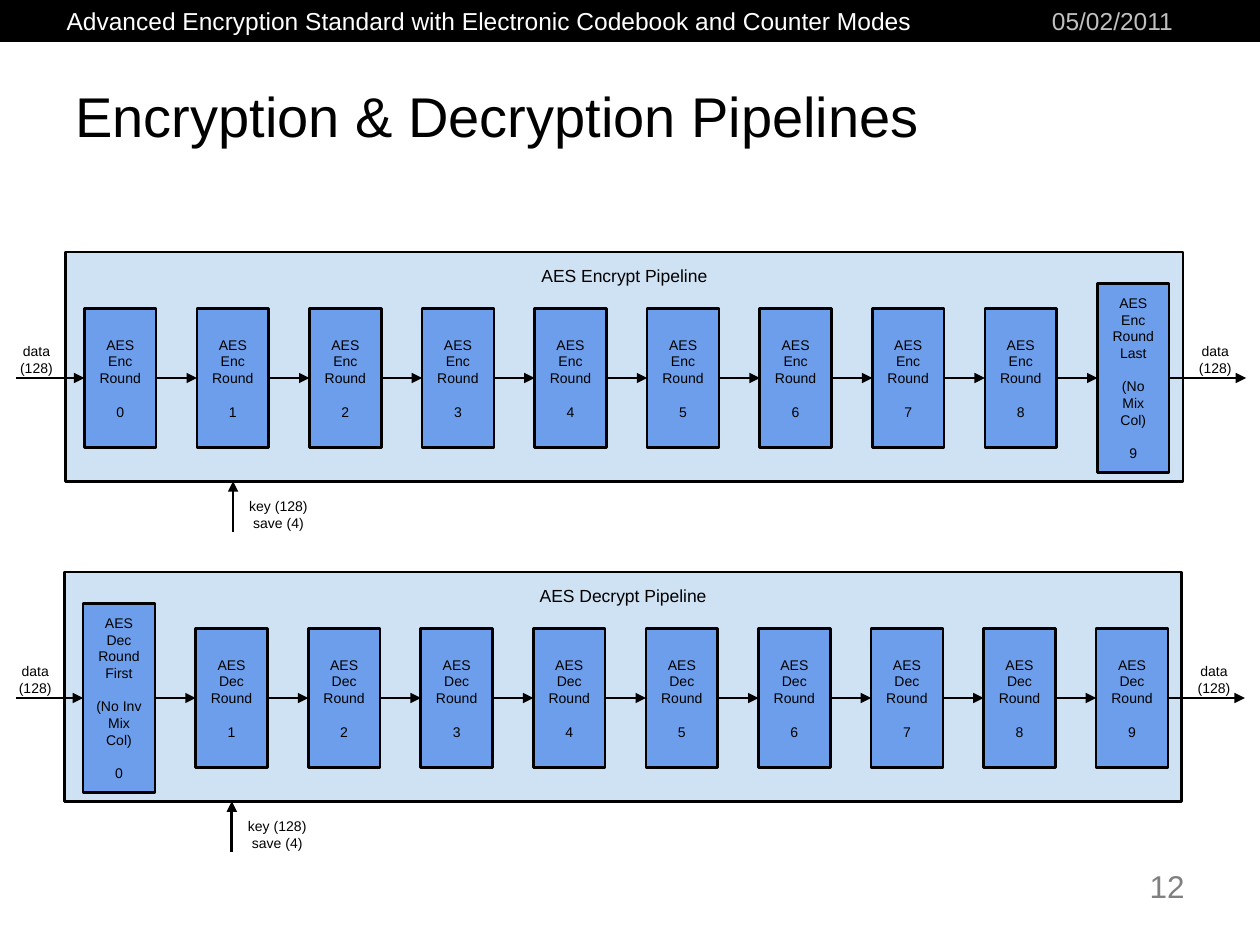
from pptx import Presentation
from pptx.dml.color import RGBColor
from pptx.enum.shapes import MSO_CONNECTOR as Connector, MSO_SHAPE as Shape
from pptx.enum.text import MSO_ANCHOR as Anchor, PP_ALIGN as Align
from pptx.oxml.ns import qn
from pptx.util import Inches, Pt
from lxml.etree import SubElement

BLACK, WHITE, PANEL, ROUND = "000000", "FFFFFF", "CFE2F3", "6D9EEB"
SILVER, GRAY = "C0C0C0", "808080"
TOP, LEFT, BOTTOM, RIGHT = range(4)
ROUND_WIDTH, ROUND_HEIGHT, TALL_HEIGHT = 0.57, 1.1, 1.5
ROUND_COUNT = 10
ROUND_PITCH = 8.04 / (ROUND_COUNT - 1)
BLANK_LINE = 9.5


def color(value):
    return RGBColor.from_string(value)


def write(shape, lines, size, ink=BLACK, align=Align.CENTER,
          anchor=Anchor.MIDDLE, inset=0.1, gap=0, wrap=True):
    """Fill a shape with one paragraph a line, set apart by gap points."""
    frame = shape.text_frame
    layout = {"word_wrap": wrap, "vertical_anchor": anchor,
              "margin_left": Inches(0.1), "margin_right": Inches(0.1),
              "margin_top": Inches(inset), "margin_bottom": Inches(inset)}
    for name, value in layout.items():
        setattr(frame, name, value)
    for index, line in enumerate(lines):
        para = frame.paragraphs[0] if index == 0 else frame.add_paragraph()
        para.alignment = align
        para.space_before = Pt(gap if index else 0)
        span = para.add_run()
        span.text = line
        for name, value in {"name": "Arial", "size": Pt(size)}.items():
            setattr(span.font, name, value)
        span.font.color.rgb = color(ink)


def add_label(page, area, lines, size, **style):
    box = page.shapes.add_textbox(*map(Inches, area))
    write(box, lines, size, **style)


def add_box(page, area, fill, line_width=1.5):
    box = page.shapes.add_shape(Shape.RECTANGLE, *map(Inches, area))
    box.shadow.inherit = False
    box.fill.solid()
    box.fill.fore_color.rgb = color(fill)
    box.line.color.rgb = color(BLACK)
    box.line.width = Pt(line_width)
    return box


def add_arrow(page, start=(0, 0), end=(0, 0), source=None, target=None):
    """Draw an arrow between points, or from and to the sides of boxes."""
    arrow = page.shapes.add_connector(
        Connector.STRAIGHT, *map(Inches, (*start, *end)))
    if source is not None:
        arrow.begin_connect(source, RIGHT)
    if target is not None:
        arrow.end_connect(target, LEFT)
    arrow.line.color.rgb = color(BLACK)
    arrow.line.width = Pt(1.5)
    SubElement(arrow.line._get_or_add_ln(), qn("a:tailEnd"), type="triangle")
    SubElement(arrow._element.spPr, qn("a:effectLst"))


def add_pipeline(page, left, top, title, stage, special, special_lines):
    """Draw a panel of rounds, one of them tall, with its inputs and output."""
    panel = add_box(page, (left, top, 8.87, 1.82), PANEL)
    write(panel, [title], 10, anchor=Anchor.TOP)
    middle = top + 1

    # Rounds, all centred on the data line
    rounds = []
    for number in range(ROUND_COUNT):
        tall = number == special
        height = TALL_HEIGHT if tall else ROUND_HEIGHT
        lines = special_lines if tall else [f"AES {stage} Round"]
        box = add_box(page, (left + 0.15 + number * ROUND_PITCH,
                             middle - height / 2, ROUND_WIDTH, height), ROUND)
        write(box, [*lines, str(number)], 8, gap=BLANK_LINE)
        rounds.append(box)

    # Data flow
    add_arrow(page, start=(0.13, middle), target=rounds[0])
    for source, target in zip(rounds, rounds[1:]):
        add_arrow(page, source=source, target=target)
    add_arrow(page, end=(left + 9.37, middle), source=rounds[-1])
    add_label(page, (left - 0.51, middle - 0.3, 0.56, 0.3), ["data (128)"], 8)
    add_label(page, (left + 8.87, middle - 0.3, 0.51, 0.3), ["data (128)"], 8)

    # Key input
    key_x, panel_bottom = left + 1.33, top + 1.82
    add_arrow(page, start=(key_x, panel_bottom + 0.4), end=(key_x, panel_bottom))
    add_label(page, (key_x, panel_bottom, 0.72, 0.52),
              ["key (128)", "save (4)"], 8)


def add_frame(page):
    """Draw the header bar, the title and the page number."""
    plain = {"align": Align.LEFT, "anchor": Anchor.TOP, "inset": 0.05}
    add_box(page, (0, 0, 10, 0.33), BLACK, 0.75)
    add_label(page, (0.43, 0, 6.91, 0.34),
              ["Advanced Encryption Standard with Electronic Codebook "
               "and Counter Modes"], 14, ink=WHITE, wrap=False, **plain)
    add_label(page, (8.25, 0, 1.25, 0.25), ["05/02/2011"], 14,
              ink=SILVER, **plain)
    add_label(page, (0.5, 0.5, 9, 0.83), ["Encryption & Decryption Pipelines"],
              32, align=Align.LEFT, inset=0.05)
    add_label(page, (8.5, 6.83, 1, 0.44), ["12"], 18, ink=GRAY,
              **{**plain, "align": Align.RIGHT})


def main():
    deck = Presentation()
    deck.slide_width, deck.slide_height = Inches(10), Inches(7.5)
    page = deck.slides.add_slide(deck.slide_layouts[6])
    add_frame(page)
    add_pipeline(page, 0.51, 4.54, "AES Decrypt Pipeline", "Dec", 0,
                 ["AES Dec Round First", "(No Inv Mix Col)"])
    add_pipeline(page, 0.52, 2, "AES Encrypt Pipeline", "Enc", 9,
                 ["AES Enc Round Last", "(No Mix Col)"])
    deck.save("out.pptx")


if __name__ == "__main__":
    main()
